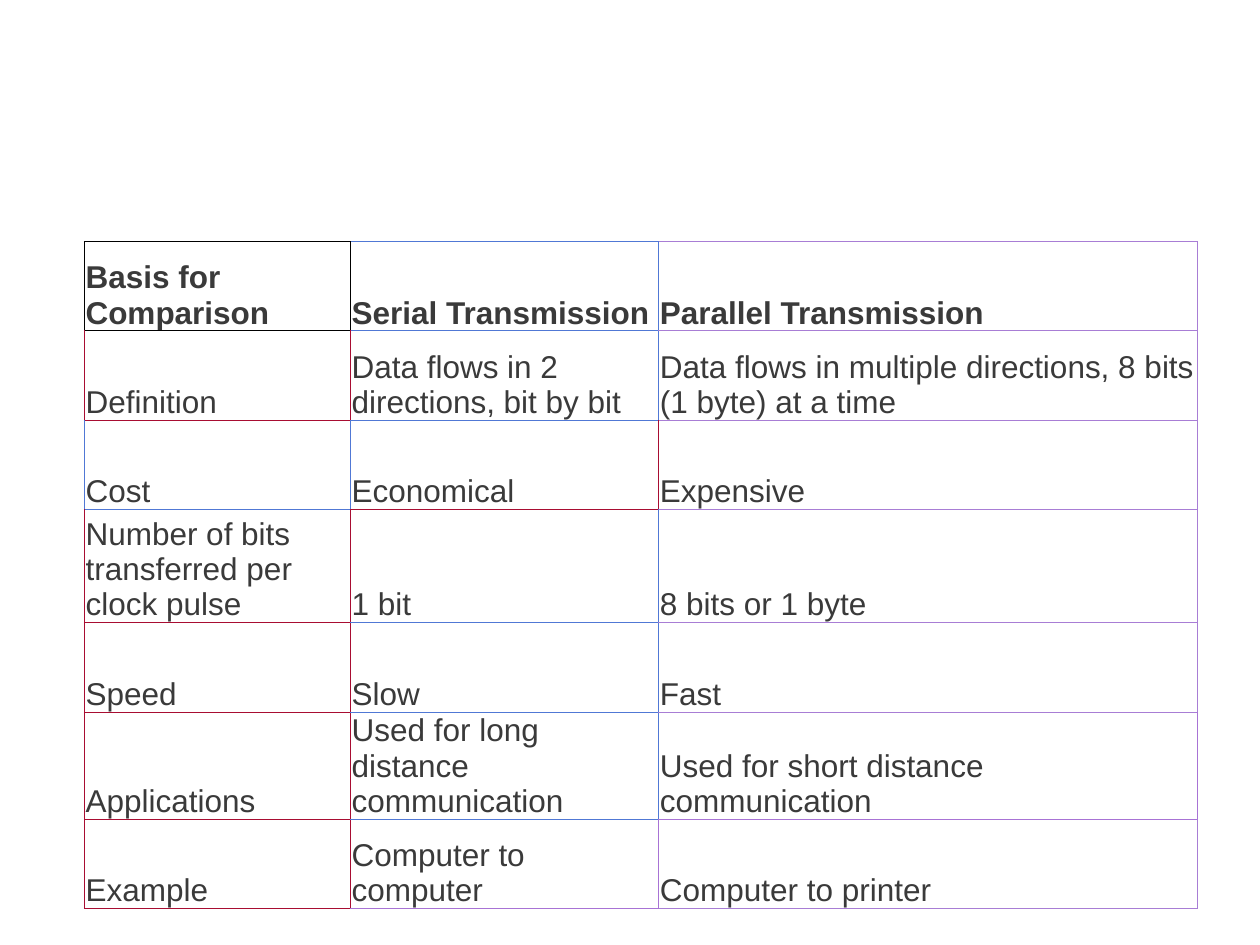
"""Build a slide with a table that compares serial and parallel transmission."""
from lxml import etree
from pptx import Presentation
from pptx import util as u
from pptx.dml import color
from pptx.enum import text
from pptx.oxml import ns

INK, WHITE = "3A3A3A", "FFFFFF"
HUES = {"K": "000000", "R": "A80D32", "B": "5078D5", "V": "A87DD5", "W": "A873D5"}


def rgb(code):
    return color.RGBColor.from_string(code)


class Deck:
    def __init__(self, wide, high, font, size):
        self.prs = Presentation()
        self.prs.slide_width, self.prs.slide_height = u.Pt(wide), u.Pt(high)
        self.slide = self.prs.slides.add_slide(self.prs.slide_layouts[6])
        self.font, self.size = font, size

    def run(self, para, words, bold):
        run = para.add_run()
        run.text = words
        run.font.name, run.font.size, run.font.bold = self.font, u.Pt(self.size), bold
        run.font.color.rgb = rgb(INK)

    def edges(self, cell, keys):
        props = cell._tc.get_or_add_tcPr()
        for spot, (side, key) in enumerate(zip("LRTB", keys)):
            line = etree.Element(ns.qn("a:ln" + side), w=str(u.Pt(0.5)))
            fill = etree.SubElement(line, ns.qn("a:solidFill"))
            etree.SubElement(fill, ns.qn("a:srgbClr"), val=HUES[key])
            props.insert(spot, line)

    def cell(self, cell, words, keys, bold):
        cell.fill.solid()
        cell.fill.fore_color.rgb = rgb(WHITE)
        cell.vertical_anchor = text.MSO_ANCHOR.BOTTOM
        cell.margin_left = cell.margin_top = cell.margin_right = u.Pt(0.72)
        cell.margin_bottom = 0
        self.run(cell.text_frame.paragraphs[0], words, bold)
        self.edges(cell, keys)

    def table(self, left, top, cols, highs, rows):
        grid = self.slide.shapes.add_table(
            len(rows), len(cols), u.Pt(left), u.Pt(top),
            u.Pt(sum(cols)), u.Pt(sum(highs))).table
        grid.first_row = grid.horz_banding = False
        for col, wide in zip(grid.columns, cols):
            col.width = u.Pt(wide)
        for r, (row, high) in enumerate(zip(rows, highs)):
            grid.rows[r].height = u.Pt(high)
            for c, (words, keys) in enumerate(row):
                self.cell(grid.cell(r, c), words, keys, r == 0)


ROWS = [
    [("Basis for Comparison", "KKKK"), ("Serial Transmission", "KBBB"),
     ("Parallel Transmission", "BVVV")],
    [("Definition", "RRKR"), ("Data flows in 2 directions, bit by bit", "RBBB"),
     ("Data flows in multiple directions, 8 bits (1 byte) at a time", "BVVV")],
    [("Cost", "BBRB"), ("Economical", "BRBR"), ("Expensive", "RVVV")],
    [("Number of bits transferred per clock pulse", "RRBR"), ("1 bit", "RBRB"),
     ("8 bits or 1 byte", "BVVV")],
    [("Speed", "RRRR"), ("Slow", "RBBB"), ("Fast", "BVVV")],
    [("Applications", "RRRR"), ("Used for long distance communication", "RBBB"),
     ("Used for short distance communication", "BWVW")],
    [("Example", "RRRR"), ("Computer to computer", "RWBW"),
     ("Computer to printer", "WVWV")],
]
LOW = 51.1

deck = Deck(720, 540, "Arial", 18)
deck.table(48.2, 138, [152, 176.2, 307.6], [LOW] * 3 + [64.6] + [LOW] * 3, ROWS)
deck.prs.save("out.pptx")
